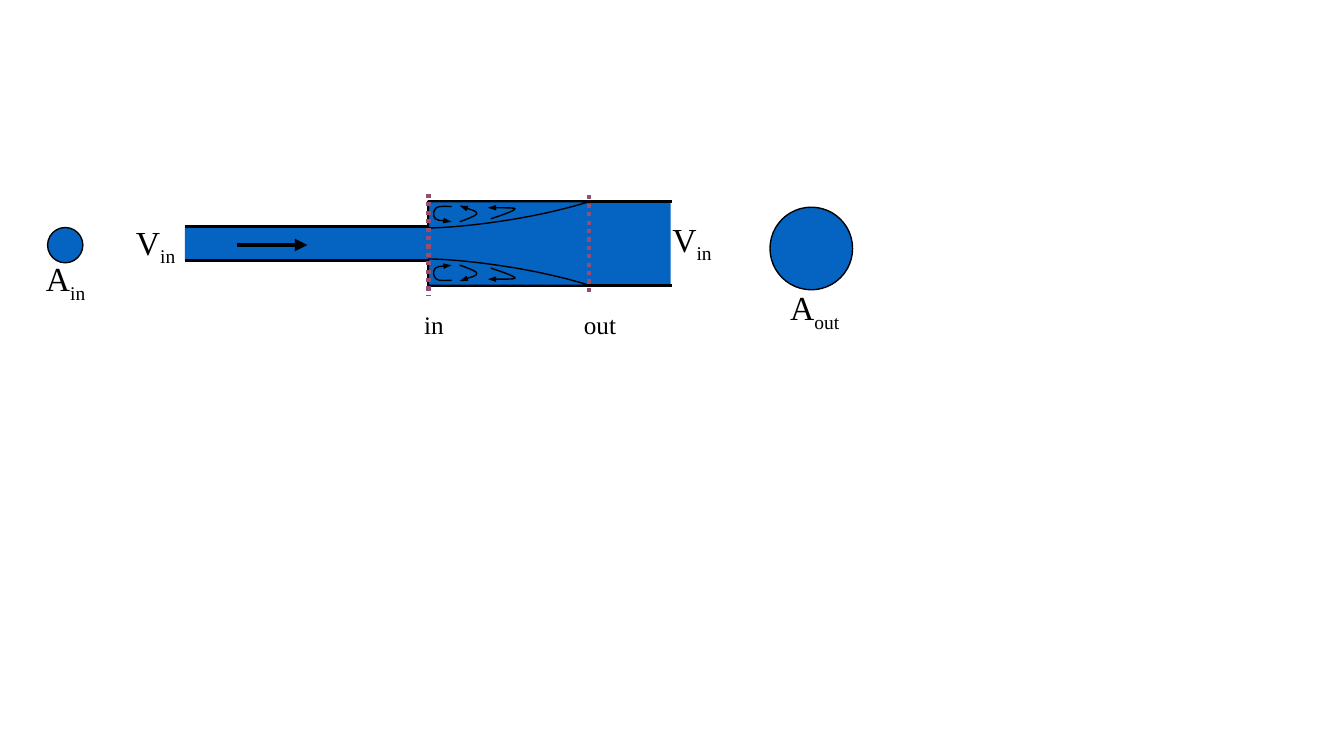
from dataclasses import dataclass

from lxml import etree
from pptx import Presentation
from pptx import util as u
from pptx.dml.color import RGBColor
from pptx.enum import dml, shapes, text
from pptx.oxml import ns

Point = tuple[float, float]
COLORS = {"water": "0563C1", "ink": "000000", "section": "954F72"}
FONT = "Times New Roman"
AXIS_Y = 173.9
INLET_X, STEP_X, OUT_X, WATER_END_X, WALL_END_X = 132, 306.1, 420.9, 479, 480
NARROW_Y, WIDE_Y = 185.8, 203.8  # lower walls of the two pipes


@dataclass
class Label:
    """A text box with an optional subscript."""
    left: float
    top: float
    width: float
    height: float
    main: str
    sub: str = ""
    size: float = 24


@dataclass
class Circle:
    """A pipe cross-section."""
    left: float
    top: float
    diameter: float


@dataclass
class Line:
    """A straight line, dotted or with an arrowhead."""
    start: Point
    end: Point
    color: str
    dotted: bool = False
    arrow: bool = False


@dataclass
class Curve:
    """A start point followed by three points for each cubic segment."""
    points: list[Point]
    closed: bool = False


LABELS = [
    Label(295.9, 217.4, 28.8, 28.8, "in", size=18),
    Label(410, 217.4, 44.6, 28.8, "out", size=18),
    Label(25.7, 180.9, 44.6, 36, "A", "in"),
    Label(557.3, 201.6, 52.6, 36, "A", "out"),
    Label(90, 154.8, 43.2, 36, "V", "in"),
    Label(473.2, 152.6, 43.2, 36, "V", "in"),
]
CIRCLES = [Circle(34, 162.5, 25.2), Circle(550, 148, 59)]
FLOW_ARROW = Line((169.2, 175), (219.6, 175), "ink", arrow=True)
SECTIONS = [
    Line((OUT_X, 139.5), (OUT_X, 210.2), "section", dotted=True),
    Line((STEP_X, 138.5), (STEP_X, 211.7), "section", dotted=True),
]
STEP = [(INLET_X, NARROW_Y), (STEP_X, NARROW_Y), (STEP_X, WIDE_Y)]
WALL = STEP + [(WALL_END_X, WIDE_Y)]
WATER_EDGE = STEP + [(WATER_END_X, WIDE_Y)]
DEAD_ZONE = [  # below the axis
    Curve([
        (STEP_X, 185),
        (324.7, 185), (377.3, 190.1), (OUT_X, WIDE_Y),
        (377.3, WIDE_Y), (325.4, WIDE_Y), (STEP_X, WIDE_Y),
    ], closed=True),
    Curve([
        (350.6, 191.5),
        (359.3, 194.4), (367.9, 197.3), (367.9, 198.7),
        (367.9, 199.4), (357.8, 199.4), (348.5, 199.4),
    ]),
    Curve([
        (328.3, 189.4),
        (330.5, 190.1), (340.6, 193.7), (340.6, 195.1),
        (340.6, 197.3), (330.5, 199.4), (328.3, 200.9),
    ]),
    Curve([
        (322.6, 200.2),
        (320.4, 200.2), (313.2, 200.9), (311.8, 199.4),
        (309.6, 198), (308.9, 193.7), (311, 191.5),
        (312.5, 190.1), (320.4, 190.1), (322.6, 189.4),
    ]),
]


def rgb(name: str) -> RGBColor:
    """Look up a named colour."""
    return RGBColor.from_string(COLORS[name])


def mirrored(points: list[Point]) -> list[Point]:
    """Reflect points across the pipe axis."""
    return [(x, 2 * AXIS_Y - y) for x, y in points]


def style(sp, fill: str | None, line: str | None, width: float = 1) -> None:
    """Set fill and outline, without shadow."""
    sp.shadow.inherit = False
    if fill:
        sp.fill.solid()
        sp.fill.fore_color.rgb = rgb(fill)
    else:
        sp.fill.background()
    if line:
        sp.line.color.rgb = rgb(line)
        sp.line.width = u.Pt(width)
    else:
        sp.line.fill.background()


def add_arrowhead(sp, width: str = "med") -> None:
    """Put a triangle at the end of a line."""
    ln = sp.line._get_or_add_ln()
    etree.SubElement(ln, ns.qn("a:tailEnd"), type="triangle", w=width)


def add_outline(parent, points: list[Point], closed: bool = False):
    """Draw a freeform through the points."""
    first, *rest = [(u.Pt(x), u.Pt(y)) for x, y in points]
    builder = parent.build_freeform(*first)
    builder.add_line_segments(rest, close=closed)
    return builder.convert_to_shape()


def bend(sp) -> None:
    """Turn each three straight segments of a freeform into one cubic."""
    segments = list(sp._element.iter(ns.qn("a:lnTo")))
    for i in range(0, len(segments) - 2, 3):
        cubic = etree.Element(ns.qn("a:cubicBezTo"))
        segments[i].addprevious(cubic)
        for segment in segments[i:i + 3]:
            cubic.append(segment[0])
            segment.getparent().remove(segment)


def add_line(s, line: Line) -> None:
    """Draw a straight line."""
    ends = [u.Pt(v) for v in (*line.start, *line.end)]
    sp = s.shapes.add_connector(shapes.MSO_CONNECTOR.STRAIGHT, *ends)
    sp.line.color.rgb = rgb(line.color)
    sp.line.width = u.Pt(3)
    if line.dotted:
        sp.line.dash_style = dml.MSO_LINE.ROUND_DOT
    if line.arrow:
        add_arrowhead(sp)
    etree.SubElement(sp._element.spPr, ns.qn("a:effectLst"))


def add_circle(s, circle: Circle) -> None:
    """Draw a cross-section."""
    box = [u.Pt(v) for v in (circle.left, circle.top, circle.diameter, circle.diameter)]
    style(s.shapes.add_shape(shapes.MSO_SHAPE.OVAL, *box), "water", "ink")


def add_label(s, label: Label) -> None:
    """Write a label and its subscript."""
    box = [u.Pt(v) for v in (label.left, label.top, label.width, label.height)]
    tf = s.shapes.add_textbox(*box).text_frame
    tf.word_wrap = False
    tf.auto_size = text.MSO_AUTO_SIZE.SHAPE_TO_FIT_TEXT
    p = tf.paragraphs[0]
    p.text = label.main
    if label.sub:
        r = p.add_run()
        r.text = label.sub
        r.font._element.set("baseline", "-25000")
    for r in p.runs:
        r.font.name = FONT
        r.font.size = u.Pt(label.size)
        r.font.color.rgb = rgb("ink")


def add_dead_zone(s, above: bool) -> None:
    """Draw the recirculating region on one side of the axis."""
    group = s.shapes.add_group_shape()
    for curve in DEAD_ZONE:
        points = mirrored(curve.points) if above else curve.points
        sp = add_outline(group.shapes, points, curve.closed)
        bend(sp)
        style(sp, "water", "ink")
        if not curve.closed:
            add_arrowhead(sp, "sm")


prs = Presentation()
prs.slide_width, prs.slide_height = u.Pt(960), u.Pt(540)
s = prs.slides.add_slide(prs.slide_layouts[6])

water = WATER_EDGE + mirrored(WATER_EDGE)[::-1]
style(add_outline(s.shapes, water, closed=True), "water", None)
add_line(s, FLOW_ARROW)
for wall in (mirrored(WALL), WALL):
    style(add_outline(s.shapes, wall), None, "ink", 2.25)
for above in (False, True):
    add_dead_zone(s, above)
for circle in CIRCLES:
    add_circle(s, circle)
for section in SECTIONS:
    add_line(s, section)
for label in LABELS:
    add_label(s, label)

prs.save("out.pptx")
